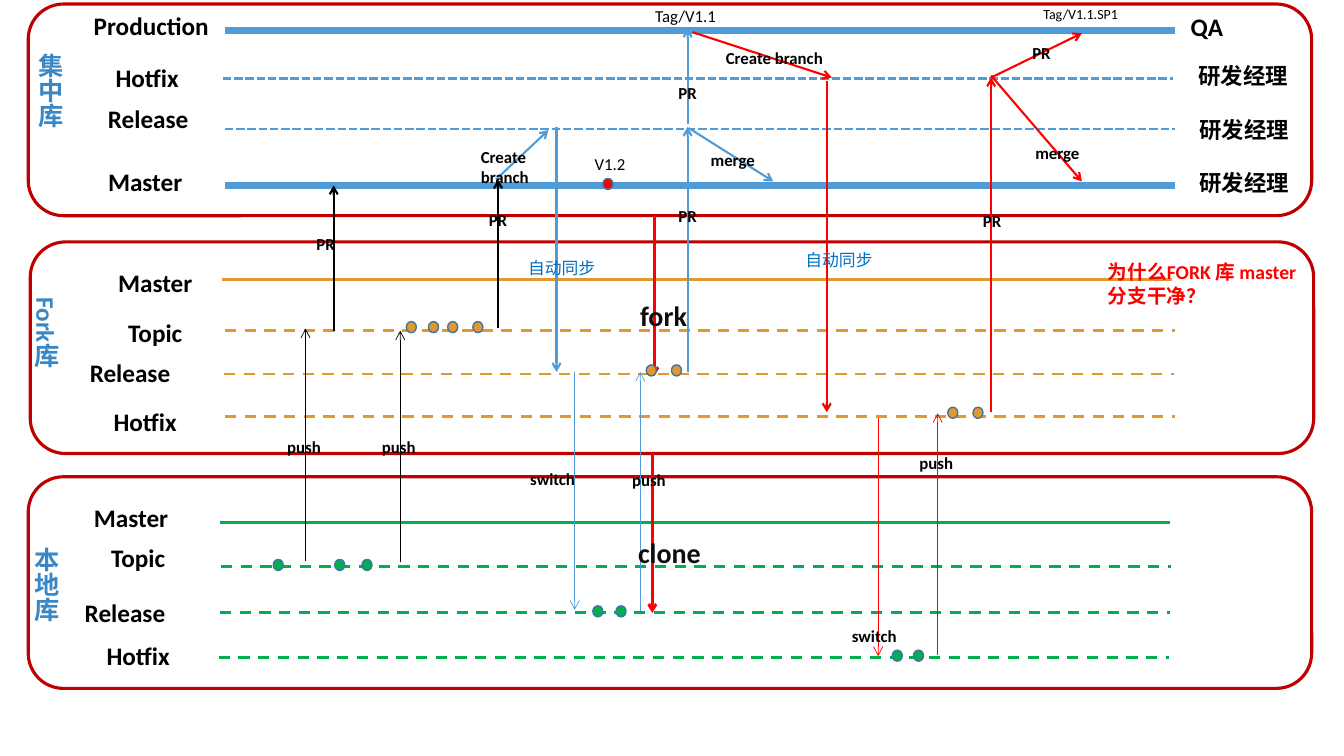
from lxml import etree
from pptx import Presentation
from pptx import util as u
from pptx.dml.color import RGBColor
from pptx.enum import dml, shapes, text
from pptx.oxml.ns import qn

COLORS = {
    "blue": "519CD6", "orange": "E1992F", "green": "00B050", "red": "FF0000",
    "black": "000000", "ink": "0D0D0D", "frame": "C00000", "title": "3A87C5",
    "sync": "0070C0", "dot_edge": "43739E",
}
FONT = "Calibri"
SOLID, DASH, SHORT = None, dml.MSO_LINE.DASH, dml.MSO_LINE.SQUARE_DOT
LANE_LENGTH = 9.42
NAME_WIDTH = 1.6

# Lane: name, name centre x, name top, line x, line y, weight, dash, commit xs
# All positions are relative to the region's box.
REGIONS = [
    dict(box=(0.28, 0.04, 12.73, 2.1), title="集中库", title_at=(-0.08, 0.39),
         color="blue", dot_color="red", dot_rise=0.07,
         lanes=[("Production", 1.22, 0.01, 1.95, 0.26, 5, SOLID, []),
                ("Hotfix", 1.18, 0.53, 1.93, 0.74, 2, SHORT, []),
                ("Release", 1.19, 0.94, 1.95, 1.24, 2, SHORT, []),
                ("Master", 1.16, 1.56, 1.95, 1.8, 5, SOLID, [5.7])],
         roles=[("QA", 11.43, 0.02, 18, "left"), ("研发经理", 11.35, 0.53, 16, "center"),
                ("研发经理", 11.36, 1.06, 16, "center"), ("研发经理", 11.36, 1.59, 16, "center")]),
    dict(box=(0.3, 2.4, 12.73, 2.1), title="Fork库", title_at=(-0.14, 0.45),
         color="orange", dot_color="orange", dot_rise=0.09,
         lanes=[("Master", 1.24, 0.2, 1.9, 0.37, 2, SOLID, []),
                ("Topic", 1.24, 0.7, 1.93, 0.88, 2, DASH, [3.73, 3.95, 4.14, 4.39]),
                ("Release", 0.99, 1.1, 1.92, 1.31, 2, DASH, [6.11, 6.36]),
                ("Hotfix", 1.14, 1.58, 1.93, 1.73, 2, DASH, [9.1, 9.35])],
         roles=[]),
    dict(box=(0.28, 4.73, 12.73, 2.1), title="本地库", title_at=(-0.12, 0.6),
         color="green", dot_color="green", dot_rise=0.07,
         lanes=[("Master", 1.02, 0.2, 1.9, 0.45, 2, SOLID, []),
                ("Topic", 1.09, 0.6, 1.91, 0.89, 2, DASH, [2.43, 3.04, 3.31]),
                ("Release", 0.96, 1.15, 1.9, 1.35, 2, DASH, [5.6, 5.83]),
                ("Hotfix", 1.09, 1.57, 1.89, 1.79, 2, DASH, [8.57, 8.78])],
         roles=[]),
]

# Arrows between branches: colour, weight, from x, from y, to x, to y
ARROWS = [
    # topic work
    ("black", 1.5, 3.31, 3.28, 3.31, 1.84),
    ("black", 1.5, 4.94, 3.25, 4.94, 1.78),
    ("black", 0.5, 3.03, 5.57, 3.03, 3.26),
    ("black", 0.5, 3.97, 5.58, 3.97, 3.28),
    # release work
    ("blue", 1.5, 4.92, 1.78, 5.44, 1.29),
    ("blue", 1.5, 5.52, 1.26, 5.52, 3.69),
    ("blue", 1.5, 6.82, 3.69, 6.82, 1.26),
    ("blue", 1.5, 6.83, 1.27, 7.67, 1.8),
    ("blue", 1.5, 6.82, 1.23, 6.82, 0.28),
    ("blue", 0.5, 5.7, 3.69, 5.7, 6.05),
    ("blue", 0.5, 6.35, 6.06, 6.35, 3.69),
    # hotfix work
    ("red", 1.5, 6.87, 0.32, 8.25, 0.77),
    ("red", 1.5, 8.2, 0.8, 8.2, 4.09),
    ("red", 1.5, 9.83, 4.09, 9.83, 0.77),
    ("red", 1.5, 9.83, 0.77, 10.73, 0.33),
    ("red", 1.5, 9.83, 0.75, 10.73, 1.8),
    ("red", 0.5, 8.71, 4.15, 8.71, 6.51),
    ("red", 0.5, 9.3, 6.5, 9.3, 4.1),
    # fork and clone
    ("red", 2, 6.49, 2.14, 6.49, 3.73),
    ("red", 2, 6.47, 4.49, 6.47, 6.08),
]

# Label styles: size, colour, bold
STYLES = {
    "step": (12, "black", True), "sync": (12, "sync", False),
    "tag": (12, "black", False), "small_tag": (10, "black", False),
    "copy": (20, "ink", True), "question": (14, "red", True),
}
# Labels: style, text, width, height, places
LABELS = [
    ("step", "PR", 0.4, 0.3, [(3.04, 2.27), (4.75, 2.03), (6.63, 1.99),
                              (6.63, 0.77), (9.65, 2.04), (10.14, 0.37)]),
    ("step", "push", 0.72, 0.3, [(2.75, 4.28), (3.69, 4.28), (6.17, 4.61), (9.02, 4.44)]),
    ("step", "switch", 0.72, 0.3, [(5.16, 4.6), (8.35, 6.16)]),
    ("step", "merge", 0.77, 0.3, [(6.95, 1.44), (10.17, 1.37)]),
    ("step", "Create branch", 0.95, 0.5, [(4.67, 1.41)]),
    ("step", "Create branch", 1.25, 0.3, [(7.1, 0.42)]),
    ("sync", "自动同步", 0.9, 0.3, [(5.14, 2.51), (7.89, 2.43)]),
    ("tag", "Tag/V1.1", 1.63, 0.3, [(6.4, 0.01)]),
    ("tag", "V1.2", 0.55, 0.3, [(5.8, 1.48)]),
    ("small_tag", "Tag/V1.1.SP1", 1.63, 0.27, [(10.25, 0.01)]),
    ("copy", "fork", 0.77, 0.44, [(6.25, 2.91)]),
    ("copy", "clone", 0.97, 0.44, [(6.23, 5.26)]),
    ("question", "为什么FORK 库 master 分支干净？", 2.14, 0.57, [(10.89, 2.53)]),
]


def rgb(name):
    return RGBColor.from_string(COLORS[name])


def inches(*lengths):
    return [u.Inches(v) for v in lengths]


def add_text(s, words, x, y, w, h, size, color="black", bold=True, align="left", vertical=False):
    sp = s.shapes.add_textbox(*inches(x, y, w, h))
    tf = sp.text_frame
    tf.word_wrap = True
    tf.text = words
    p = tf.paragraphs[0]
    p.alignment = text.PP_ALIGN[align.upper()]
    r = p.runs[0]
    r.font.name, r.font.size, r.font.bold = FONT, u.Pt(size), bold
    r.font.color.rgb = rgb(color)
    if vertical:
        sp.element.find(".//" + qn("a:bodyPr")).set("vert", "eaVert")


def add_line(s, color, weight, x1, y1, x2, y2, dash=SOLID, arrow=False):
    c = s.shapes.add_connector(shapes.MSO_CONNECTOR.STRAIGHT, *inches(x1, y1, x2, y2))
    c.line.color.rgb = rgb(color)
    c.line.width = u.Pt(weight)
    if dash is not None:
        c.line.dash_style = dash
    if arrow:
        etree.SubElement(c.line._get_or_add_ln(), qn("a:tailEnd"), type="arrow")
    etree.SubElement(c.element.spPr, qn("a:effectLst"))


def add_outline(s, kind, x, y, w, h, edge, weight, fill=None):
    sp = s.shapes.add_shape(kind, *inches(x, y, w, h))
    sp.shadow.inherit = False
    sp.line.color.rgb = rgb(edge)
    sp.line.width = u.Pt(weight)
    if fill:
        sp.fill.solid()
        sp.fill.fore_color.rgb = rgb(fill)
    else:
        sp.fill.background()


def draw_region(s, region):
    """Frame, vertical title, branch lanes and roles of one repository."""
    left, top, width, height = region["box"]
    add_outline(s, shapes.MSO_SHAPE.ROUNDED_RECTANGLE, left, top, width, height, "frame", 2.25)
    dx, dy = region["title_at"]
    add_text(s, region["title"], left + dx, top + dy, 0.5, 1.51, 18, "title", vertical=True)
    for name, center, name_y, x, y, weight, dash, _ in region["lanes"]:
        add_line(s, region["color"], weight, left + x, top + y,
                 left + x + LANE_LENGTH, top + y, dash)
        add_text(s, name, left + center - NAME_WIDTH / 2, top + name_y,
                 NAME_WIDTH, 0.4, 18, align="center")
    for role, x, y, size, align in region["roles"]:
        add_text(s, role, left + x, top + y, 1.4, 0.4, size, align=align)


def draw_commits(s, region):
    """Commit dots sitting on the lanes of one repository."""
    left, top = region["box"][:2]
    for lane in region["lanes"]:
        y = top + lane[4] - region["dot_rise"]
        for x in lane[-1]:
            add_outline(s, shapes.MSO_SHAPE.FLOWCHART_CONNECTOR, left + x, y, 0.1, 0.11,
                        "dot_edge", 1, region["dot_color"])


def draw_flows(s, left, top):
    """Arrows crossing the repositories."""
    for color, weight, x1, y1, x2, y2 in ARROWS:
        add_line(s, color, weight, left + x1, top + y1, left + x2, top + y2, arrow=True)


def draw_labels(s, left, top):
    """Step names, tags and notes beside the arrows."""
    for style, words, w, h, places in LABELS:
        for x, y in places:
            add_text(s, words, left + x, top + y, w, h, *STYLES[style])


def main():
    prs = Presentation()
    prs.slide_width, prs.slide_height = inches(13.33, 7.5)
    s = prs.slides.add_slide(prs.slide_layouts[6])
    for region in REGIONS:
        draw_region(s, region)
    draw_flows(s, 0, 0)
    for region in REGIONS:
        draw_commits(s, region)
    draw_labels(s, 0, 0)
    prs.save("out.pptx")


if __name__ == "__main__":
    main()
